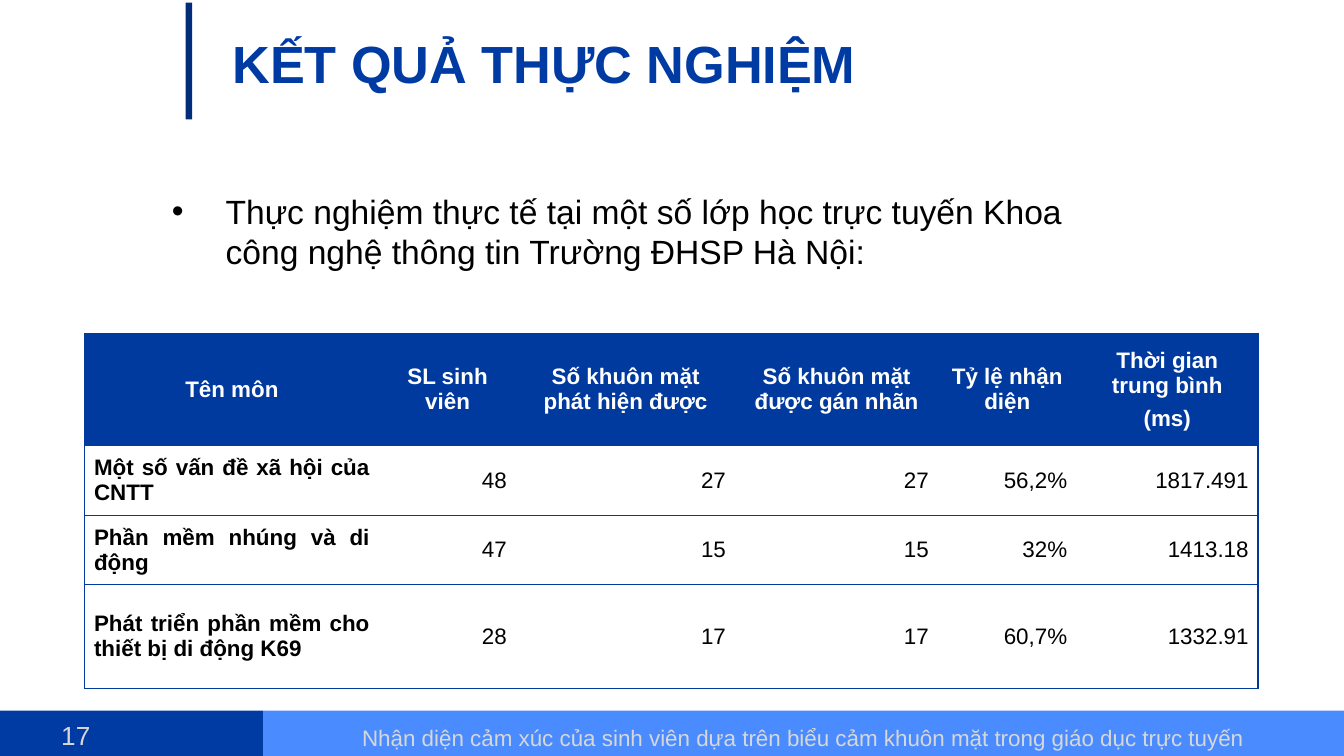
from dataclasses import dataclass

from lxml import etree
from pptx import Presentation
from pptx.dml import color
from pptx.enum import shapes, text
from pptx.oxml import ns
from pptx.util import Pt

ROYAL = color.RGBColor(0x00, 0x3B, 0xA3)
SKY = color.RGBColor(0x4A, 0x8C, 0xFF)
NAVY = color.RGBColor(0x00, 0x2C, 0x7A)
GRID = color.RGBColor(0x00, 0x3A, 0x9F)
SILVER = color.RGBColor(0xD7, 0xD7, 0xD7)
BLACK = color.RGBColor(0x00, 0x00, 0x00)
WHITE = color.RGBColor(0xFF, 0xFF, 0xFF)
ALIGN = text.PP_ALIGN
ANCHOR = text.MSO_ANCHOR


@dataclass(frozen=True)
class Box:
    left: float
    top: float
    width: float
    height: float

    def lengths(self) -> tuple:
        return Pt(self.left), Pt(self.top), Pt(self.width), Pt(self.height)


@dataclass(frozen=True)
class Bar:
    box: Box
    fill: color.RGBColor


@dataclass(frozen=True)
class Label:
    box: Box
    wording: str
    size: float
    ink: color.RGBColor
    bold: bool = False
    align: ALIGN = ALIGN.LEFT
    anchor: ANCHOR = ANCHOR.TOP
    spacing: float = 1.0
    bullet: bool = False


BARS = [
    Bar(Box(0, 380.7, 141, 24.3), ROYAL),
    Bar(Box(141, 380.7, 579, 24.3), SKY),
    Bar(Box(99.4, 1.4, 3.5, 62.6), NAVY),
]
LABELS = [
    Label(Box(0, 381.6, 55.5, 24.3), "17", 14, SILVER, align=ALIGN.RIGHT),
    Label(Box(141, 381.6, 579, 23),
          "Nhận diện cảm xúc của sinh viên dựa trên biểu cảm khuôn mặt "
          "trong giáo dục trực tuyến",
          12, SILVER, align=ALIGN.CENTER, spacing=1.2),
    Label(Box(117.4, 8.6, 535.7, 50.4), "KẾT QUẢ THỰC NGHIỆM", 28, ROYAL,
          bold=True, anchor=ANCHOR.MIDDLE),
    Label(Box(85, 98.6, 525.6, 51),
          "Thực nghiệm thực tế tại một số lớp học trực tuyến Khoa công nghệ "
          "thông tin Trường ĐHSP Hà Nội:",
          18, BLACK, bullet=True),
]

TABLE_BOX = Box(45.4, 178.6, 628.6, 190.1)
COLUMN_WIDTHS = [157.7, 73.4, 117.4, 108.7, 74.2, 97.2]
ROW_HEIGHTS = [60, 37.4, 37.1, 55.6]
RESULTS = [
    ["Tên môn", "SL sinh viên", "Số khuôn mặt phát hiện được",
     "Số khuôn mặt được gán nhãn", "Tỷ lệ nhận diện",
     "Thời gian trung bình\n(ms)"],
    ["Một số vấn đề xã hội của CNTT", "48", "27", "27", "56,2%", "1817.491"],
    ["Phần mềm nhúng và di động", "47", "15", "15", "32%", "1413.18"],
    ["Phát triển phần mềm cho thiết bị di động K69", "28", "17", "17",
     "60,7%", "1332.91"],
]


def format_runs(paragraph, size: float, ink: color.RGBColor, bold: bool) -> None:
    for run in paragraph.runs:
        run.font.name = "Arial"
        run.font.size = Pt(size)
        run.font.bold = bold
        run.font.color.rgb = ink


def add_bullet(paragraph) -> None:
    properties = paragraph._p.get_or_add_pPr()
    properties.set("marL", str(Pt(28.8)))
    properties.set("indent", str(-Pt(28.8)))
    etree.SubElement(properties, ns.qn("a:buFont"), typeface="Arial")
    etree.SubElement(properties, ns.qn("a:buChar"), char="•")


def draw_bar(slide, bar: Bar) -> None:
    shape = slide.shapes.add_shape(shapes.MSO_SHAPE.RECTANGLE, *bar.box.lengths())
    shape.shadow.inherit = False
    shape.fill.solid()
    shape.fill.fore_color.rgb = bar.fill
    shape.line.fill.background()


def draw_label(slide, label: Label) -> None:
    frame = slide.shapes.add_textbox(*label.box.lengths()).text_frame
    frame.word_wrap = True
    frame.vertical_anchor = label.anchor
    frame.text = label.wording
    paragraph = frame.paragraphs[0]
    paragraph.alignment = label.align
    paragraph.line_spacing = label.spacing
    if label.bullet:
        add_bullet(paragraph)
    format_runs(paragraph, label.size, label.ink, label.bold)


def draw_border(cell, side: str, visible: bool) -> None:
    line = etree.SubElement(cell._tc.get_or_add_tcPr(), ns.qn(f"a:ln{side}"),
                            w=str(Pt(0.75)))
    if visible:
        fill = etree.SubElement(line, ns.qn("a:solidFill"))
        etree.SubElement(fill, ns.qn("a:srgbClr"), val=str(GRID))
    else:
        etree.SubElement(line, ns.qn("a:noFill"))


def fill_cell(cell, wording: str, row: int, column: int) -> None:
    header = row == 0
    first = column == 0
    last = column == len(COLUMN_WIDTHS) - 1
    for side, visible in (("L", first), ("R", last), ("T", True), ("B", True)):
        draw_border(cell, side, visible)
    if header:
        cell.fill.solid()
        cell.fill.fore_color.rgb = GRID
    else:
        cell.fill.background()
    cell.vertical_anchor = ANCHOR.MIDDLE
    cell.margin_left = cell.margin_right = Pt(5)
    cell.margin_top = cell.margin_bottom = 0
    cell.text_frame.text = wording
    for index, paragraph in enumerate(cell.text_frame.paragraphs):
        paragraph.alignment = (ALIGN.CENTER if header
                               else ALIGN.JUSTIFY if first else ALIGN.RIGHT)
        paragraph.space_before = Pt(2 if index else 0)
        paragraph.space_after = Pt(2)
        format_runs(paragraph, 12, WHITE if header else BLACK, header or first)


def draw_results(slide) -> None:
    table = slide.shapes.add_table(len(ROW_HEIGHTS), len(COLUMN_WIDTHS),
                                   *TABLE_BOX.lengths()).table
    table.first_row = table.horz_banding = False
    for column, width in zip(table.columns, COLUMN_WIDTHS):
        column.width = Pt(width)
    for row, height in zip(table.rows, ROW_HEIGHTS):
        row.height = Pt(height)
    for r, record in enumerate(RESULTS):
        for c, wording in enumerate(record):
            fill_cell(table.cell(r, c), wording, r, c)


def main() -> None:
    deck = Presentation()
    deck.slide_width, deck.slide_height = Pt(720), Pt(405)
    slide = deck.slides.add_slide(deck.slide_layouts[6])
    for bar in BARS:
        draw_bar(slide, bar)
    for label in LABELS:
        draw_label(slide, label)
    draw_results(slide)
    deck.save("out.pptx")


if __name__ == "__main__":
    main()
